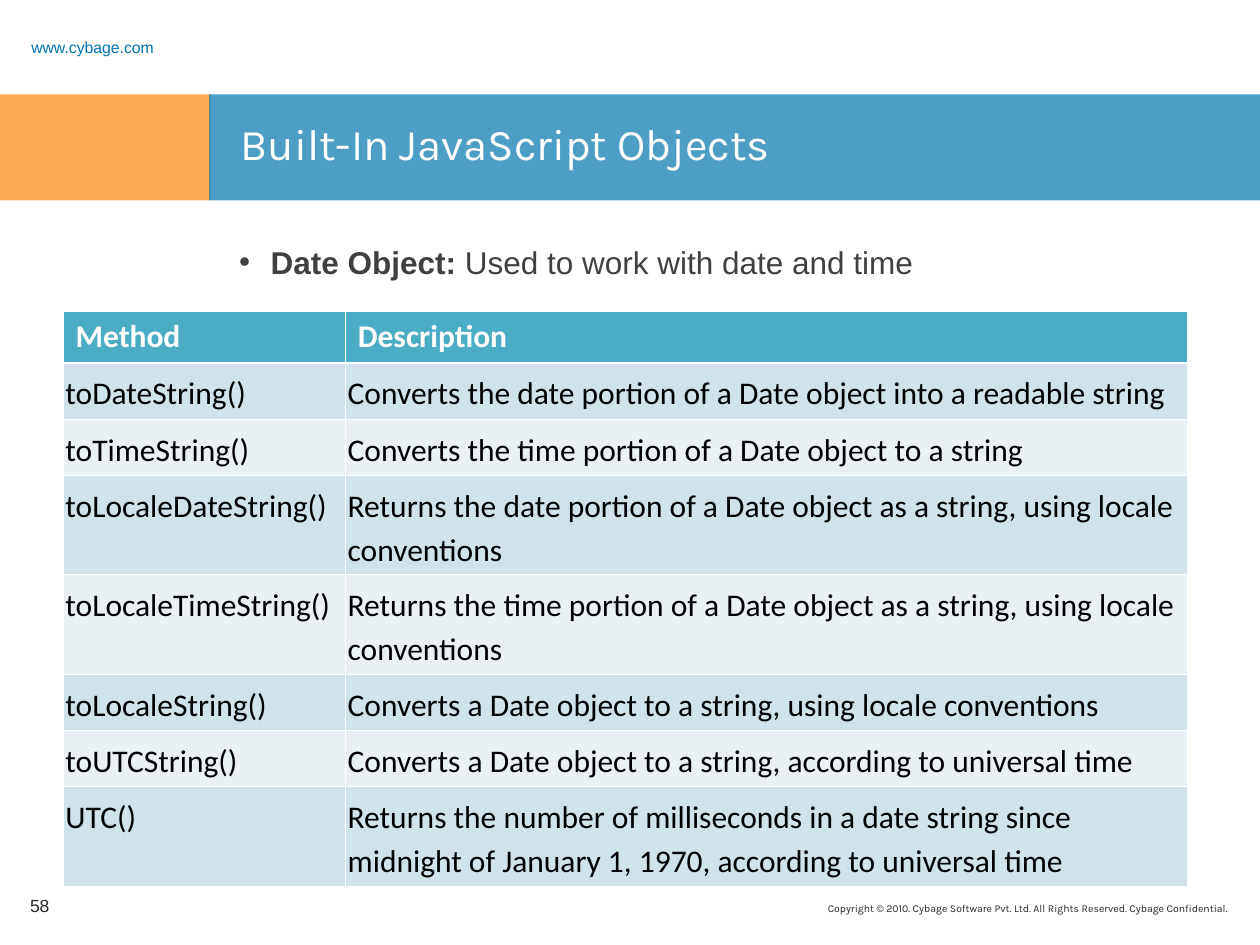
from lxml.etree import SubElement
from pptx import Presentation
from pptx.dml.color import RGBColor
from pptx.enum.shapes import MSO_SHAPE as Shape
from pptx.enum.text import MSO_ANCHOR as Anchor, MSO_AUTO_SIZE as AutoSize, PP_ALIGN as Align
from pptx.oxml import parse_xml
from pptx.oxml.ns import nsdecls, qn
from pptx.util import Inches, Pt


def color(value):
    return RGBColor.from_string(value)


def write(frame, text, size, font, ink, anchor=Anchor.TOP):
    """Fill a text frame with one formatted paragraph and return it."""
    frame.text = text
    frame.word_wrap = True
    frame.vertical_anchor = anchor
    para = frame.paragraphs[0]
    for span in para.runs:
        span.font.size = Pt(size)
        span.font.name = font
        span.font.color.rgb = color(ink)
    return para


deck = Presentation()
deck.slide_width, deck.slide_height = Inches(10), Inches(7.5)
page = deck.slides.add_slide(deck.slide_layouts[5])

# Title over two translucent bands
title = page.shapes.title
title.left, title.top = Inches(1.81), Inches(0.88)
title.width, title.height = Inches(7.94), Inches(0.62)
title.text_frame.auto_size = AutoSize.NONE
write(title.text_frame, "Built-In JavaScript Objects", 25, "Karla", "FFFFFF").alignment = Align.LEFT

for left, width, fill in [(0, 1.67, "F88608"), (1.66, 8.34, "0075B0")]:
    band = page.shapes.add_shape(Shape.RECTANGLE, Inches(left), Inches(0.75), Inches(width), Inches(0.84))
    band.shadow.inherit = False
    band.line.fill.background()
    band.fill.solid()
    band.fill.fore_color.rgb = color(fill)
    SubElement(band.element.spPr.find(".//" + qn("a:srgbClr")), qn("a:alpha"), val="70000")
    title.element.addprevious(band.element)

# Header address, footer and page number
address = page.shapes.add_textbox(Inches(0.15), Inches(0.24), Inches(1.5), Inches(0.19))
write(address.text_frame, "www.cybage.com", 9, "Arial", "0075B0", Anchor.MIDDLE).line_spacing = 1.5

footer = page.shapes.add_textbox(Inches(4.08), Inches(7.11), Inches(5.76), Inches(0.26))
notice = "Copyright © 2010. Cybage Software Pvt. Ltd. All Rights Reserved. Cybage Confidential."
write(footer.text_frame, notice, 6, "Karla", "262626").alignment = Align.RIGHT

number = page.shapes.add_textbox(Inches(0.14), Inches(6.99), Inches(0.54), Inches(0.4))
write(number.text_frame, "58", 10, "Arial", "262626", Anchor.MIDDLE)

# Introductory bullet
intro = page.shapes.add_textbox(Inches(1.8), Inches(1.88), Inches(7.95), Inches(3.95))
para = write(intro.text_frame, "Date Object:", 18, "Arial", "404040")
para.runs[0].font.bold = True
usage = para.add_run()
usage.text = " Used to work with date and time"
usage.font.size = Pt(18)
usage.font.name = "Arial"
usage.font.color.rgb = color("404040")
props = para._p.get_or_add_pPr()
props.set("marL", str(Inches(0.25)))
props.set("indent", str(-Inches(0.25)))
SubElement(props, qn("a:buFont"), typeface="Arial")
SubElement(props, qn("a:buChar"), char="•")

# Method table
rows = [
    (0.41, "Method", "Description"),
    (0.4, "toDateString()", "Converts the date portion of a Date object into a readable string"),
    (0.41, "toTimeString()", "Converts the time portion of a Date object to a string"),
    (0.73, "toLocaleDateString()",
     "Returns the date portion of a Date object as a string, using locale conventions"),
    (0.73, "toLocaleTimeString()",
     "Returns the time portion of a Date object as a string, using locale conventions"),
    (0.4, "toLocaleString()", "Converts a Date object to a string, using locale conventions"),
    (0.41, "toUTCString()", "Converts a Date object to a string, according to universal time"),
    (0.73, "UTC()", "Returns the number of milliseconds in a date string since "
     "midnight of January 1, 1970, according to universal time"),
]
table = page.shapes.add_table(
    len(rows), 2, Inches(0.5), Inches(2.47), Inches(8.92), Inches(4.22)).table
table.columns[0].width, table.columns[1].width = Inches(2.24), Inches(6.68)

for r, (height, *texts) in enumerate(rows):
    table.rows[r].height = Inches(height)
    for c, text in enumerate(texts):
        cell = table.cell(r, c)
        para = write(cell.text_frame, text, 18, "Calibri", "000000" if r else "FFFFFF")
        para.runs[0].font.bold = r == 0
        if r:
            para.line_spacing = 1.15
            cell.margin_left = cell.margin_right = Inches(0.02)
        # Rules come before the fill in the cell properties
        heavy = {0: "lnB", 1: "lnT"}.get(r)
        for side in ("lnL", "lnR", "lnT", "lnB"):
            weight = Pt(1.47 if side == heavy else 0.45)
            cell._tc.get_or_add_tcPr().append(parse_xml(
                f'<a:{side} {nsdecls("a")} w="{weight}"><a:solidFill>'
                f'<a:srgbClr val="FFFFFF"/></a:solidFill></a:{side}>'))
        cell.fill.solid()
        cell.fill.fore_color.rgb = color(("E9F1F5", "D0E3EA")[r % 2] if r else "4BACC6")

deck.save("out.pptx")
